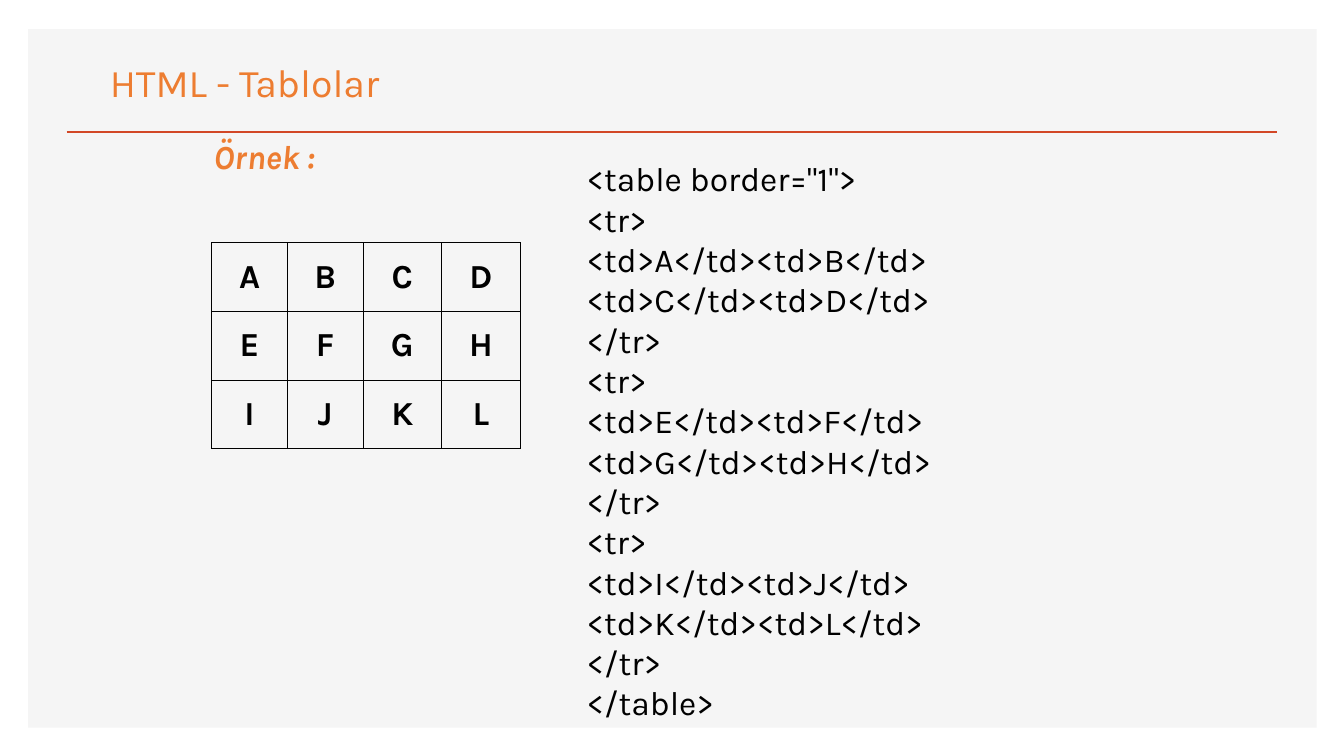
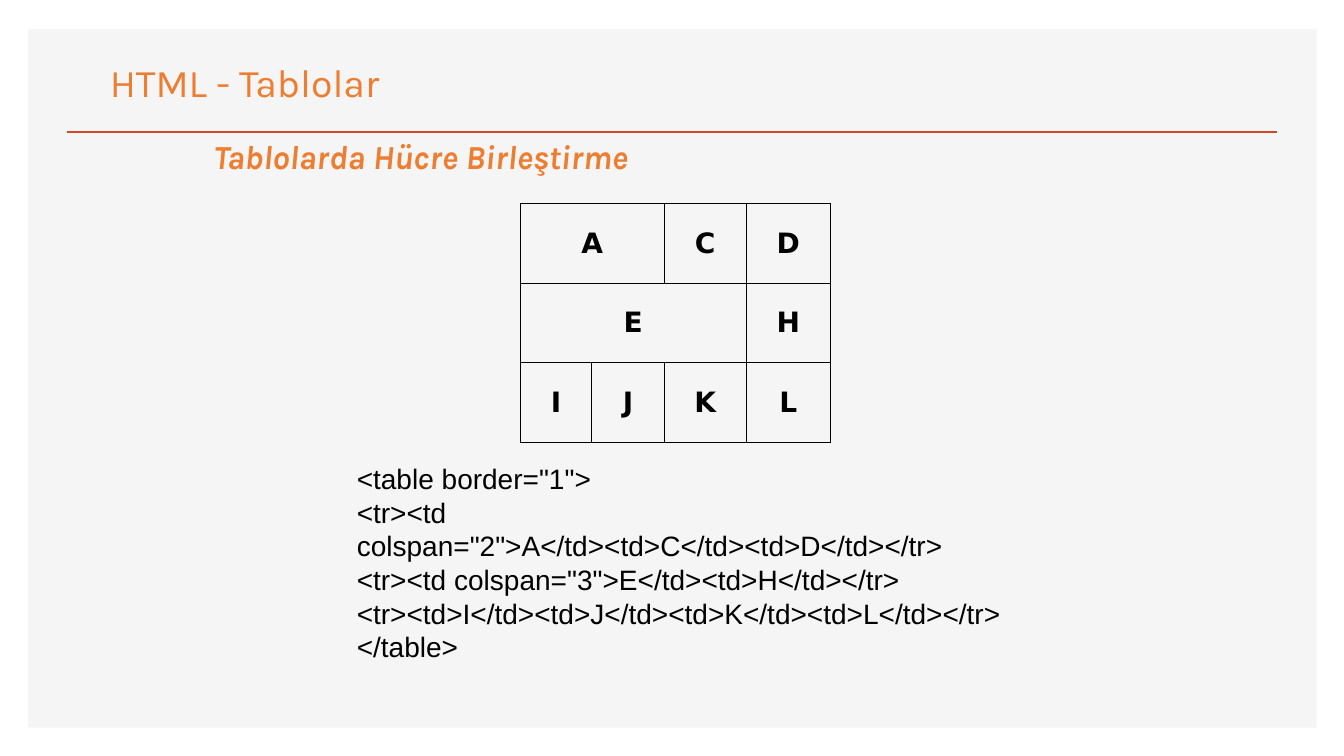
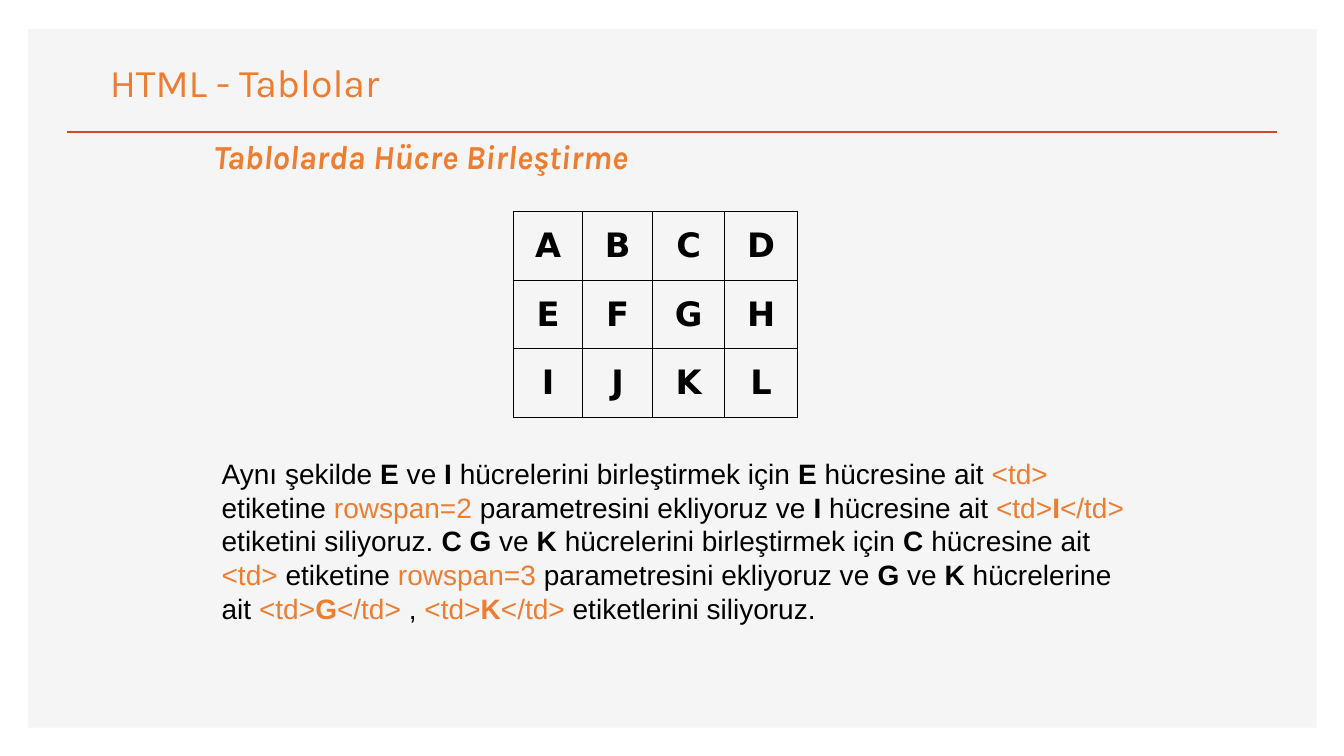
from lxml.etree import SubElement
from pptx import Presentation
from pptx.dml.color import RGBColor
from pptx.enum.shapes import MSO_CONNECTOR, MSO_SHAPE
from pptx.enum.text import MSO_ANCHOR, MSO_AUTO_SIZE, PP_ALIGN
from pptx.oxml import parse_xml
from pptx.oxml.ns import nsdecls, qn
from pptx.util import Inches, Pt

COLORS = {
    "panel": "F5F5F5",
    "rule": "D24726",
    "accent": "ED7D31",
    "text": "000000",
}
HEADING_FONT = "Karla"
BODY_FONT = "Arial"
CELL_FONT = "DejaVu Sans"
BORDER_SIDES = ("lnL", "lnR", "lnT", "lnB")
MERGED = "-"

BORDER_CODE = """<table border="1">
<tr>
<td>A</td><td>B</td>
<td>C</td><td>D</td>
</tr>
<tr>
<td>E</td><td>F</td>
<td>G</td><td>H</td>
</tr>
<tr>
<td>I</td><td>J</td>
<td>K</td><td>L</td>
</tr>
</table>"""

COLSPAN_CODE = """<table border="1">
<tr><td colspan="2">A</td><td>C</td><td>D</td></tr>
<tr><td colspan="3">E</td><td>H</td></tr>
<tr><td>I</td><td>J</td><td>K</td><td>L</td></tr>
</table>"""

ROWSPAN_NOTE = (
    "Aynı şekilde *E* ve *I* hücrelerini birleştirmek için *E* hücresine ait ~<td>~ "
    "etiketine ~rowspan=2 ~parametresini ekliyoruz ve *I* hücresine ait "
    "~<td>*I*</td>~ etiketini siliyoruz. *C G* ve *K* hücrelerini birleştirmek için "
    "*C* hücresine ait ~<td>~ etiketine ~rowspan=3~ parametresini ekliyoruz ve *G* ve "
    "*K* hücrelerine ait ~<td>*G*</td>~ , ~<td>*K*</td>~ etiketlerini siliyoruz."
)


def rgb(color):
    return RGBColor.from_string(COLORS[color])


def style_run(run, size, font, color="text", bold=False, italic=False):
    run.font.size = Pt(size)
    run.font.name = font
    run.font.color.rgb = rgb(color)
    run.font.bold = bold
    run.font.italic = italic


def add_box(slide, box, wrap=True, anchor=MSO_ANCHOR.TOP):
    frame = slide.shapes.add_textbox(*map(Inches, box)).text_frame
    frame.word_wrap = wrap
    frame.auto_size = MSO_AUTO_SIZE.SHAPE_TO_FIT_TEXT
    frame.vertical_anchor = anchor
    return frame


def add_heading(slide, text, box, size, **emphasis):
    frame = add_box(slide, box, wrap=False)
    frame.text = text
    style_run(frame.paragraphs[0].runs[0], size, HEADING_FONT, "accent", **emphasis)


def add_code(slide, code, box, size, font):
    frame = add_box(slide, box, anchor=MSO_ANCHOR.MIDDLE)
    frame.text = code
    for line in frame.paragraphs:
        style_run(line.runs[0], size, font)


def add_note(slide, note, box, size):
    paragraph = add_box(slide, box, anchor=MSO_ANCHOR.MIDDLE).paragraphs[0]
    for part_index, part in enumerate(note.split("~")):
        color = "accent" if part_index % 2 else "text"
        for piece_index, piece in enumerate(part.split("*")):
            if piece:
                run = paragraph.add_run()
                run.text = piece
                style_run(run, size, BODY_FONT, color, bold=piece_index % 2 == 1)


def set_borders(cell):
    properties = cell._tc.get_or_add_tcPr()
    for position, side in enumerate(BORDER_SIDES):
        border = parse_xml(
            f'<a:{side} {nsdecls("a")} w="{Pt(0.75)}"><a:solidFill>'
            f'<a:srgbClr val="{COLORS["text"]}"/></a:solidFill></a:{side}>'
        )
        properties.insert(position, border)


def add_letter_table(slide, rows, left, top, widths, row_height, size, font):
    table = slide.shapes.add_table(
        len(rows), len(widths), Inches(left), Inches(top),
        Inches(sum(widths)), Inches(row_height * len(rows)),
    ).table
    table.first_row = table.horz_banding = False
    for column, width in zip(table.columns, widths):
        column.width = Inches(width)
    for row_index, letters in enumerate(rows):
        table.rows[row_index].height = Inches(row_height)
        for column_index, letter in enumerate(letters):
            cell = table.cell(row_index, column_index)
            cell.fill.background()
            set_borders(cell)
            if letter == MERGED:
                continue
            following = letters[column_index + 1:]
            span = len(following) - len(following.lstrip(MERGED))
            if span:
                cell.merge(table.cell(row_index, column_index + span))
            cell.vertical_anchor = MSO_ANCHOR.MIDDLE
            cell.text_frame.text = letter
            paragraph = cell.text_frame.paragraphs[0]
            paragraph.alignment = PP_ALIGN.CENTER
            style_run(paragraph.runs[0], size, font, bold=True)


def add_lesson_slide(presentation, topic):
    slide = presentation.slides.add_slide(presentation.slide_layouts[6])
    panel = slide.shapes.add_shape(
        MSO_SHAPE.RECTANGLE, *map(Inches, (0.28, 0.29, 12.78, 6.93))
    )
    panel.shadow.inherit = False
    panel.fill.solid()
    panel.fill.fore_color.rgb = rgb("panel")
    panel.line.fill.background()
    rule = slide.shapes.add_connector(
        MSO_CONNECTOR.STRAIGHT, *map(Inches, (0.66, 1.31, 12.67, 1.31))
    )
    rule.line.color.rgb = rgb("rule")
    rule.line.width = Pt(2)
    SubElement(rule._element.spPr, qn("a:effectLst"))
    add_heading(slide, "HTML - Tablolar", (0.99, 0.53, 2.95, 0.57), 28)
    topic_width = 1.43 if len(topic) < 10 else 5
    add_heading(slide, topic, (2.02, 1.3, topic_width, 0.5), 24, bold=True, italic=True)
    return slide


def main():
    presentation = Presentation()
    presentation.slide_width = Inches(13.33)
    presentation.slide_height = Inches(7.5)
    full_grid = ("ABCD", "EFGH", "IJKL")
    merging_topic = "Tablolarda Hücre Birleştirme"

    example = add_lesson_slide(presentation, "Örnek :")
    add_letter_table(example, full_grid, 2.1, 2.41, (0.75, 0.75, 0.78, 0.78),
                     0.68, 24, HEADING_FONT)
    add_code(example, BORDER_CODE, (5.72, 1.49, 5.04, 5.76), 24, HEADING_FONT)

    colspan = add_lesson_slide(presentation, merging_topic)
    add_letter_table(colspan, ("A-CD", "E--H", "IJKL"), 5.16, 2.02,
                     (0.71, 0.72, 0.81, 0.84), 0.79, 20, CELL_FONT)
    add_code(colspan, COLSPAN_CODE, (3.44, 4.58, 6.95, 2), 20, BODY_FONT)

    rowspan = add_lesson_slide(presentation, merging_topic)
    add_letter_table(rowspan, full_grid, 5.09, 2.1, (0.69, 0.69, 0.72, 0.72),
                     0.68, 24, CELL_FONT)
    add_note(rowspan, ROWSPAN_NOTE, (2.1, 4.48, 9.21, 1.77), 20)

    presentation.save("out.pptx")


if __name__ == "__main__":
    main()
